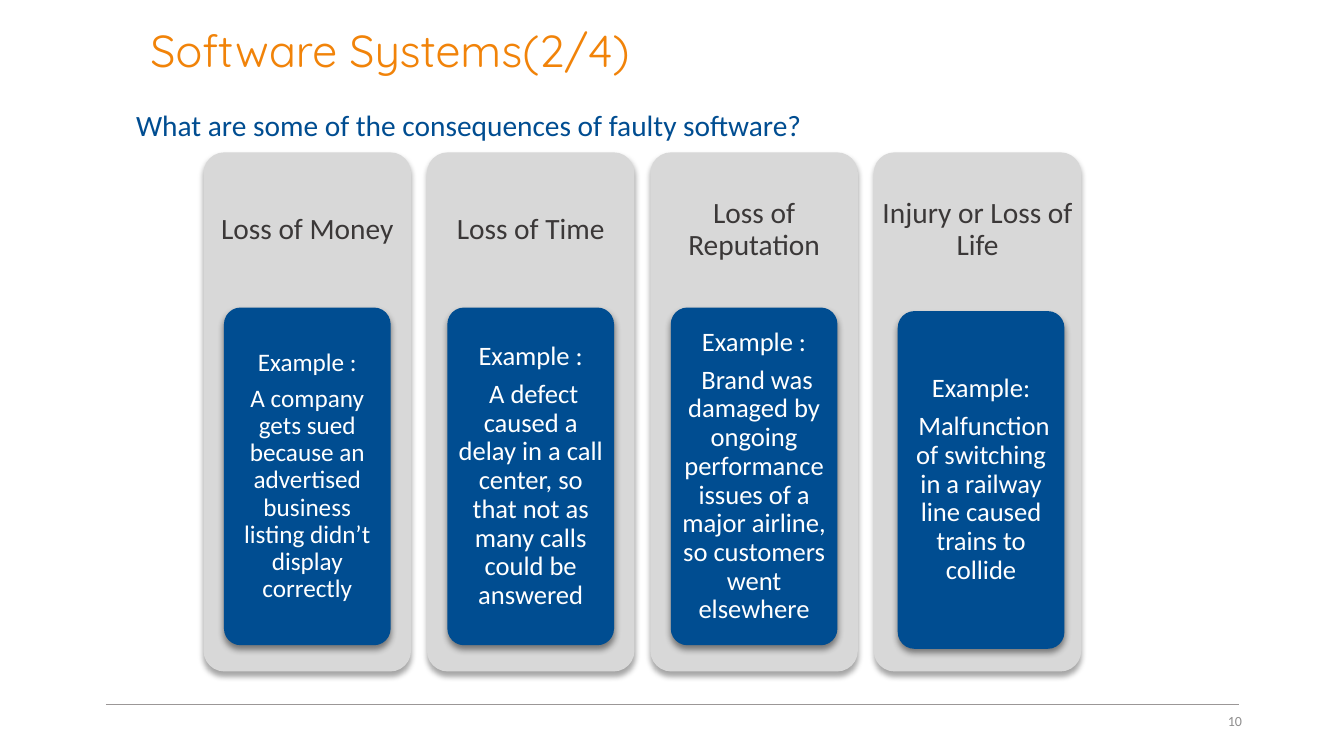
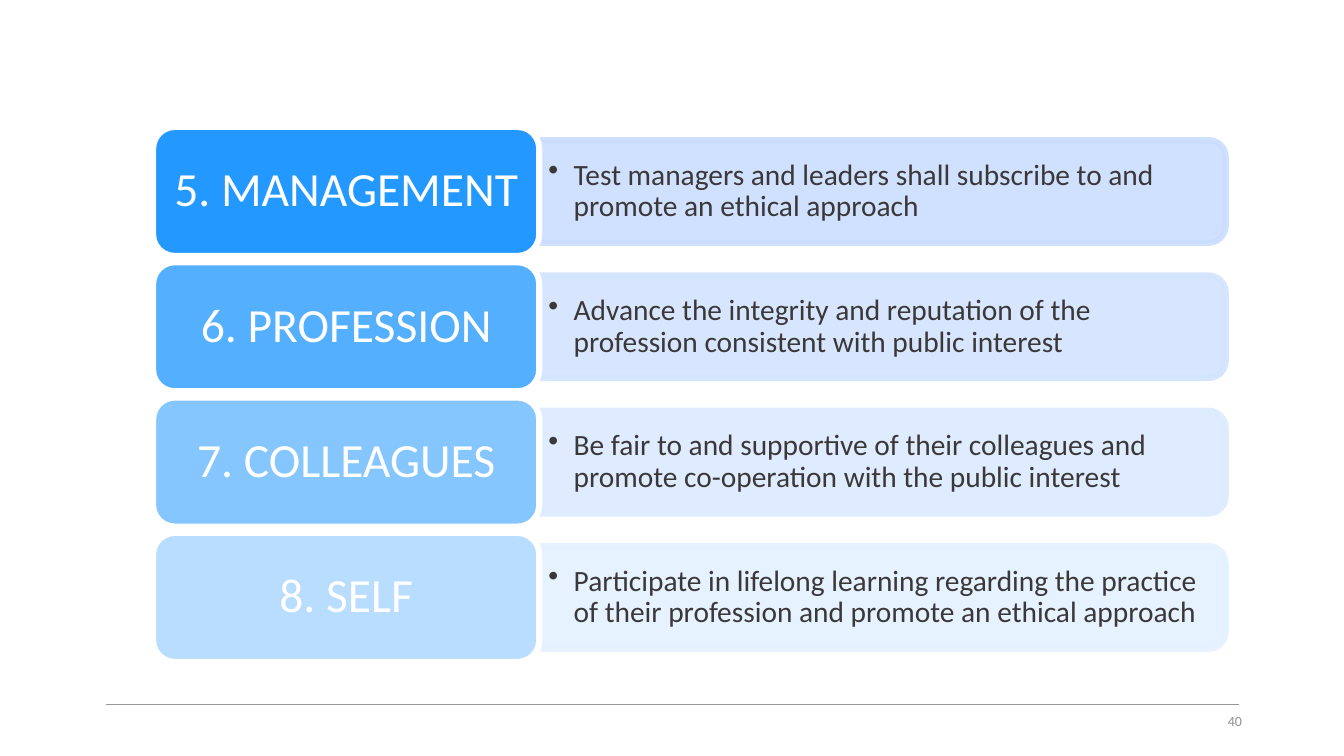
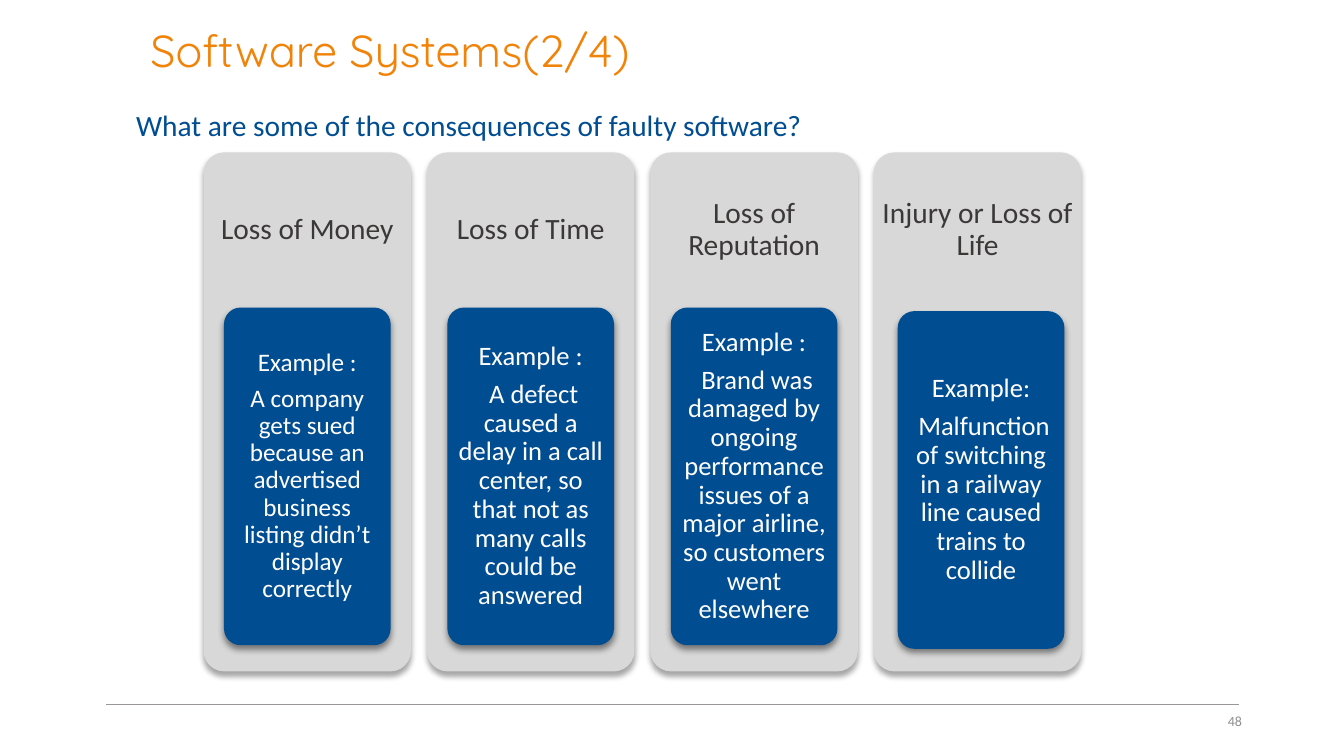
from pptx import Presentation
from pptx.dml.color import RGBColor
from pptx.enum.shapes import MSO_CONNECTOR, MSO_SHAPE
from pptx.enum.text import MSO_ANCHOR, MSO_AUTO_SIZE, PP_ALIGN
from pptx.oxml.ns import qn
from pptx.util import Cm, Pt
from lxml.etree import SubElement

ORANGE = RGBColor(0xF1, 0x83, 0x09)
NAVY = RGBColor(0x00, 0x4D, 0x91)
INK = RGBColor(0x3B, 0x38, 0x38)
WHITE = RGBColor(0xFF, 0xFF, 0xFF)
PANEL_GREY = RGBColor(0xD8, 0xD8, 0xD8)
RULE_GREY = RGBColor(0x9B, 0x97, 0x97)
NUMBER_GREY = RGBColor(0x8F, 0x8E, 0x8E)
BODY_FONT = "Calibri"
TITLE_FONT = "Quicksand"
TITLE_ONLY, BLANK = 5, 6

CONSEQUENCES = [
    ("Loss of Money", 18, 0,
     ["Example :",
      "A company gets sued because an advertised business listing didn’t display correctly"]),
    ("Loss of Time", 19, 0,
     ["Example :",
      " A defect caused a delay in a call center, so that not as many calls could be answered"]),
    ("Loss of Reputation", 19, 0,
     ["Example :",
      " Brand was damaged by ongoing performance issues of a major airline, "
      "so customers went elsewhere"]),
    ("Injury or Loss of Life", 19, 0.09,
     ["Example:",
      " Malfunction of switching in a railway line caused trains to collide"]),
]

PRINCIPLES = [
    ("5. MANAGEMENT", RGBColor(0x23, 0x99, 0xFF), RGBColor(0xCB, 0xDD, 0xFF),
     "Test managers and leaders shall subscribe to and promote an ethical approach"),
    ("6. PROFESSION", RGBColor(0x54, 0xAF, 0xFF), RGBColor(0xD3, 0xE4, 0xFE),
     "Advance the integrity and reputation of the profession consistent with public interest"),
    ("7. COLLEAGUES", RGBColor(0x86, 0xC6, 0xFF), RGBColor(0xDC, 0xEB, 0xFF),
     "Be fair to and supportive of their colleagues and promote co-operation "
     "with the public interest"),
    ("8. SELF", RGBColor(0xB8, 0xDD, 0xFE), RGBColor(0xE4, 0xF1, 0xFF),
     "Participate in lifelong learning regarding the practice of their profession "
     "and promote an ethical approach"),
]


def set_margins(frame, left, top, right, bottom):
    """Set the four text margins in centimetres."""
    frame.margin_left, frame.margin_top = Cm(left), Cm(top)
    frame.margin_right, frame.margin_bottom = Cm(right), Cm(bottom)


def write(frame, lines, size, color, align=PP_ALIGN.LEFT, anchor=MSO_ANCHOR.MIDDLE,
          font=BODY_FONT, spacing=0.9, gap=0, bullet=False):
    """Fill a text frame with one evenly formatted paragraph per line."""
    frame.word_wrap = True
    frame.auto_size = MSO_AUTO_SIZE.NONE
    frame.vertical_anchor = anchor
    for index, line in enumerate(lines):
        paragraph = frame.add_paragraph() if index else frame.paragraphs[0]
        if bullet:
            add_bullet(paragraph, color)
        paragraph.alignment = align
        paragraph.line_spacing = spacing
        if index:
            paragraph.space_before = Pt(gap)
        run = paragraph.add_run()
        run.text = line
        run.font.name = font
        run.font.size = Pt(size)
        run.font.color.rgb = color


def add_bullet(paragraph, color):
    """Give a paragraph a hanging round bullet."""
    properties = paragraph._p.get_or_add_pPr()
    properties.set("marL", str(Cm(0.64)))
    properties.set("indent", str(Cm(-0.64)))
    bullet_color = SubElement(properties, qn("a:buClr"))
    SubElement(bullet_color, qn("a:srgbClr"), val=str(color))
    SubElement(properties, qn("a:buChar"), char="•")


def add_shadow(shape, blur, opacity):
    """Drop a soft black shadow straight below a shape."""
    effects = shape._element.spPr.find(qn("a:effectLst"))
    shadow = SubElement(effects, qn("a:outerShdw"), blurRad=str(Pt(blur)), dist=str(Pt(3)),
                        dir="5400000", algn="ctr", rotWithShape="0")
    black = SubElement(shadow, qn("a:srgbClr"), val="000000")
    SubElement(black, qn("a:alpha"), val=str(opacity * 1000))


def add_box(slide, kind, left, top, width, height, fill, corner, outline=None):
    """Add a filled shape with rounded corners and an optional outline."""
    box = slide.shapes.add_shape(kind, Cm(left), Cm(top), Cm(width), Cm(height))
    box.shadow.inherit = False
    box.adjustments[0] = corner
    box.fill.solid()
    box.fill.fore_color.rgb = fill
    if outline is None:
        box.line.fill.background()
    else:
        box.line.color.rgb = outline
        box.line.width = Pt(4.33)
    return box


def add_caption(slide, left, top, width, height):
    """Add an empty text box and return its text frame."""
    return slide.shapes.add_textbox(Cm(left), Cm(top), Cm(width), Cm(height)).text_frame


def add_title(slide, text):
    """Place and format the slide title."""
    title = slide.shapes.title
    title.left, title.top, title.width, title.height = Cm(3.23), Cm(0), Cm(22.43), Cm(2.69)
    write(title.text_frame, [text], 32, ORANGE, font=TITLE_FONT)


def add_footer(slide, number):
    """Draw the footer rule and the page number."""
    rule = slide.shapes.add_connector(MSO_CONNECTOR.STRAIGHT, Cm(2.67), Cm(17.75),
                                      Cm(31.22), Cm(17.75))
    rule.line.color.rgb = RULE_GREY
    rule.line.width = Pt(1)
    SubElement(rule._element.spPr, qn("a:effectLst"))
    write(add_caption(slide, 23.93, 17.65, 7.62, 1.02), [str(number)], 10, NUMBER_GREY,
          align=PP_ALIGN.RIGHT, spacing=1.0)


def add_consequence(slide, left, top, width, height, heading, size, shift, example):
    """Draw a grey panel with its heading above a blue example card."""
    heading_height = 3.91
    card_width = width - 1.03
    panel = add_box(slide, MSO_SHAPE.ROUNDED_RECTANGLE, left, top, width, height,
                    PANEL_GREY, 0.1)
    add_shadow(panel, 4, 35)
    set_margins(panel.text_frame, 0.06, 0.08, 0.06, height - heading_height + 0.08)
    write(panel.text_frame, [heading], 21, INK, align=PP_ALIGN.CENTER)

    card = add_box(slide, MSO_SHAPE.ROUNDED_RECTANGLE,
                   left + (width - card_width) / 2 + shift, top + heading_height + shift,
                   card_width, 8.51, NAVY, 0.1)
    add_shadow(card, 5, 45)
    set_margins(card.text_frame, 0.12, 0.1, 0.12, 0.1)
    write(card.text_frame, example, size, WHITE, align=PP_ALIGN.CENTER, gap=size * 0.35)


def add_principle(slide, left, top, width, height, name, label_fill, detail_fill, duty):
    """Draw a principle's label with its duty in a tinted bar to the right."""
    label_width, bar_height = 9.73, 2.59
    bar_width = width - label_width
    bar_left, middle = left + label_width, top + height / 2
    bar = add_box(slide, MSO_SHAPE.ROUND_2_SAME_RECTANGLE,
                  bar_left + (bar_width - bar_height) / 2, middle - bar_width / 2,
                  bar_height, bar_width, detail_fill, 0.167, detail_fill)
    bar.rotation = 90
    for tint in bar._element.spPr.iter(qn("a:srgbClr")):
        SubElement(tint, qn("a:alpha"), val="90000")

    caption = add_caption(slide, bar_left, middle - bar_height / 2, bar_width - 0.13, bar_height)
    set_margins(caption, 0.23, 0.1, 0.23, 0.1)
    write(caption, [duty], 21, INK, bullet=True)

    label = add_box(slide, MSO_SHAPE.ROUNDED_RECTANGLE, left, top, label_width, height,
                    label_fill, 0.167, WHITE)
    set_margins(label.text_frame, 0.33, 0.18, 0.33, 0.18)
    write(label.text_frame, [name], 34, WHITE, align=PP_ALIGN.CENTER)


def consequences_slide(deck, number):
    """Build the slide on the consequences of faulty software."""
    slide = deck.slides.add_slide(deck.slide_layouts[TITLE_ONLY])
    add_title(slide, " Software Systems(2/4)")
    for column, consequence in enumerate(CONSEQUENCES):
        add_consequence(slide, 5.13 + column * 5.63, 3.84, 5.23, 13.08, *consequence)
    write(add_caption(slide, 3.18, 2.57, 27.05, 1.93),
          ["What are some of the consequences of faulty software?"], 21, NAVY,
          anchor=MSO_ANCHOR.TOP, spacing=1.0)
    add_footer(slide, number)


def principles_slide(deck, number):
    """Build the slide on the ethical principles."""
    slide = deck.slides.add_slide(deck.slide_layouts[BLANK])
    for row, principle in enumerate(PRINCIPLES):
        add_principle(slide, 3.86, 3.2 + row * 3.41, 27.03, 3.25, *principle)
    add_footer(slide, number)


def main():
    """Build and save the deck."""
    deck = Presentation()
    deck.slide_width, deck.slide_height = Cm(33.87), Cm(19.05)
    consequences_slide(deck, 10)
    principles_slide(deck, 40)
    consequences_slide(deck, 48)
    deck.save("out.pptx")


if __name__ == "__main__":
    main()
